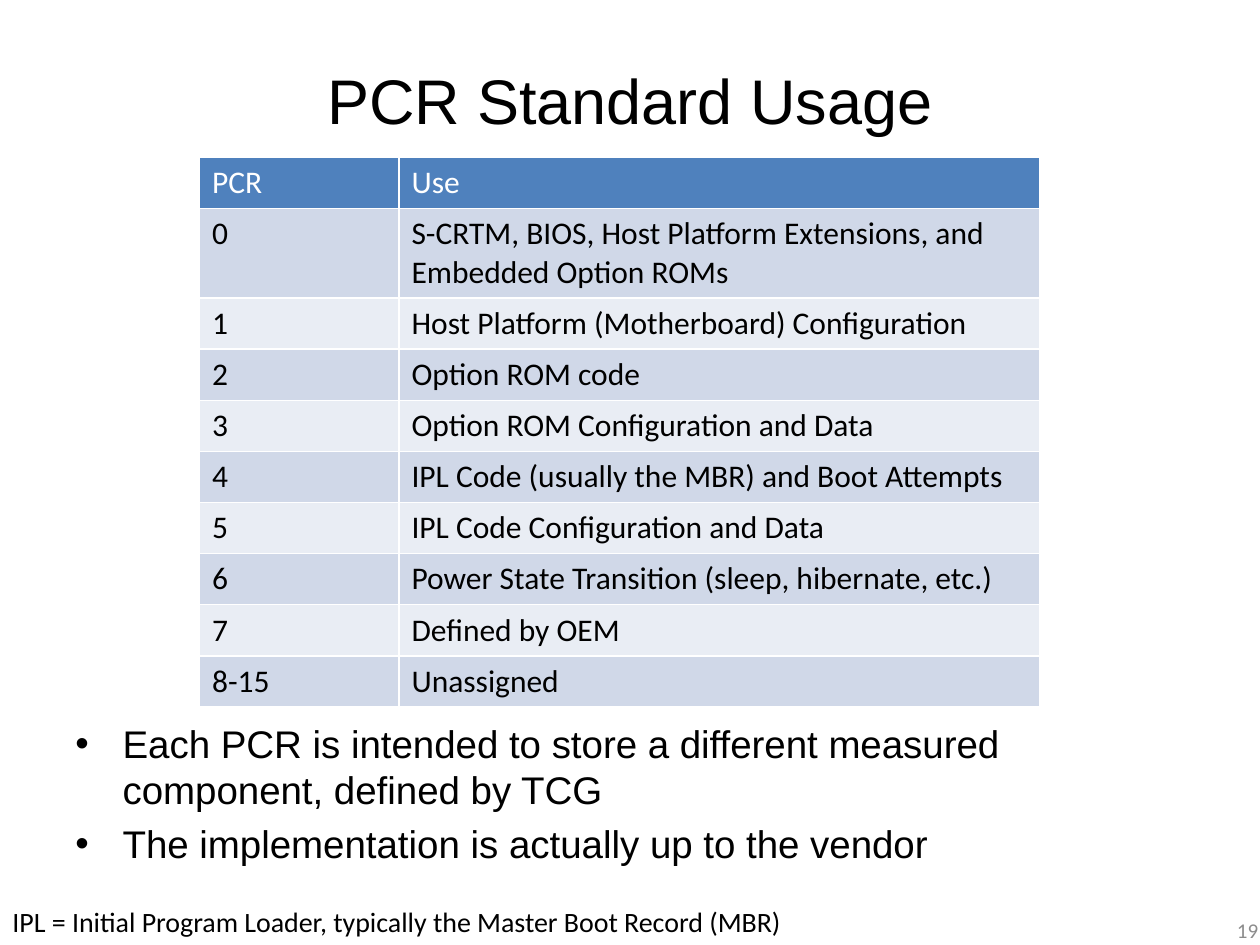
"""Build the PCR Standard Usage slide."""
from dataclasses import dataclass
from typing import Any

from lxml import etree
from pptx import Presentation
from pptx import util as u
from pptx.dml import color
from pptx.enum import text
from pptx.oxml import ns


def rgb(value):
    """Return the colour for a hex string."""
    return color.RGBColor.from_string(value)


@dataclass
class SlideBuilder:
    """Hold the style and the current slide."""

    slide: Any
    heading_font: str = "Arial"
    body_font: str = "Calibri"
    ink: str = "000000"
    header_fill: str = "4F81BD"
    header_ink: str = "FFFFFF"
    bands: tuple = ("D0D8E8", "E9EDF4")

    def place(self, shape, box):
        """Set the position and size of a shape in points."""
        for name, value in zip(("left", "top", "width", "height"), box):
            setattr(shape, name, u.Pt(value))

    def add_words(self, paragraph, words, ink=None, **formats):
        """Add formatted words to a paragraph."""
        run = paragraph.add_run()
        run.text = words
        for name, value in {"name": self.body_font, "bold": False, **formats}.items():
            setattr(run.font, name, value)
        run.font.color.rgb = rgb(ink or self.ink)

    def title(self, words, box):
        """Fill and place the title placeholder."""
        shape = self.slide.shapes.title
        self.place(shape, box)
        shape.text_frame.vertical_anchor = text.MSO_ANCHOR.MIDDLE
        paragraph = shape.text_frame.paragraphs[0]
        paragraph.alignment = text.PP_ALIGN.CENTER
        self.add_words(paragraph, words, name=self.heading_font, size=u.Pt(36))

    def label(self, words, box, size, ink=None, align=text.PP_ALIGN.LEFT, **frame_formats):
        """Add a one-line text box."""
        frame = self.slide.shapes.add_textbox(*map(u.Pt, box)).text_frame
        for name, value in frame_formats.items():
            setattr(frame, name, value)
        frame.paragraphs[0].alignment = align
        self.add_words(frame.paragraphs[0], words, ink, size=u.Pt(size))

    def bullets(self, items, box, size, indent):
        """Add a bulleted list with hanging indents."""
        frame = self.slide.shapes.add_textbox(*map(u.Pt, box)).text_frame
        frame.word_wrap = True
        for index, words in enumerate(items):
            paragraph = frame.add_paragraph() if index else frame.paragraphs[0]
            paragraph.space_before = u.Pt(size * 0.2)
            self.add_words(paragraph, words, name=self.heading_font, size=u.Pt(size))
            properties = paragraph._p.get_or_add_pPr()
            properties.set("marL", str(u.Pt(indent)))
            properties.set("indent", str(-u.Pt(indent)))
            font = etree.SubElement(properties, ns.qn("a:buFont"))
            font.set("typeface", self.heading_font)
            etree.SubElement(properties, ns.qn("a:buChar")).set("char", "•")

    def table(self, rows, box, widths, row_height):
        """Add a table with a header row and banded body rows."""
        shape = self.slide.shapes.add_table(len(rows), len(widths), *map(u.Pt, box))
        for column, width in zip(shape.table.columns, widths):
            column.width = u.Pt(width)
        for index, (row, values) in enumerate(zip(shape.table.rows, rows)):
            row.height = u.Pt(row_height)
            fill = self.bands[(index - 1) % 2] if index else self.header_fill
            ink = self.ink if index else self.header_ink
            for cell, words in zip(row.cells, values):
                cell.fill.solid()
                cell.fill.fore_color.rgb = rgb(fill)
                self.add_words(cell.text_frame.paragraphs[0], words, ink, size=u.Pt(18))


USES = [
    ("PCR", "Use"),
    ("0", "S-CRTM, BIOS, Host Platform Extensions, and Embedded Option ROMs"),
    ("1", "Host Platform (Motherboard) Configuration"),
    ("2", "Option ROM code"),
    ("3", "Option ROM Configuration and Data"),
    ("4", "IPL Code (usually the MBR) and Boot Attempts"),
    ("5", "IPL Code Configuration and Data"),
    ("6", "Power State Transition (sleep, hibernate, etc.)"),
    ("7", "Defined by OEM"),
    ("8-15", "Unassigned"),
]
NOTES = [
    "Each PCR is intended to store a different measured component, defined by TCG",
    "The implementation is actually up to the vendor",
]


def main():
    """Build and save the presentation."""
    presentation = Presentation()
    presentation.slide_width, presentation.slide_height = u.Pt(720), u.Pt(540)
    builder = SlideBuilder(presentation.slides.add_slide(presentation.slide_layouts[5]))
    builder.title("PCR Standard Usage", (36, 12, 648, 90))
    builder.table(USES, (114, 90, 480, 292), (114, 366), 29.2)
    builder.bullets(NOTES, (36, 408, 648, 105), 22, 27)
    builder.label("IPL = Initial Program Loader, typically the Master Boot Record (MBR)",
                  (0, 513.4, 460, 26.6), 16, word_wrap=False,
                  auto_size=text.MSO_AUTO_SIZE.SHAPE_TO_FIT_TEXT)
    builder.label("19", (558, 517, 168, 28.8), 12, "8C8C8C", text.PP_ALIGN.RIGHT,
                  word_wrap=True, vertical_anchor=text.MSO_ANCHOR.MIDDLE)
    presentation.save("out.pptx")


if __name__ == "__main__":
    main()
